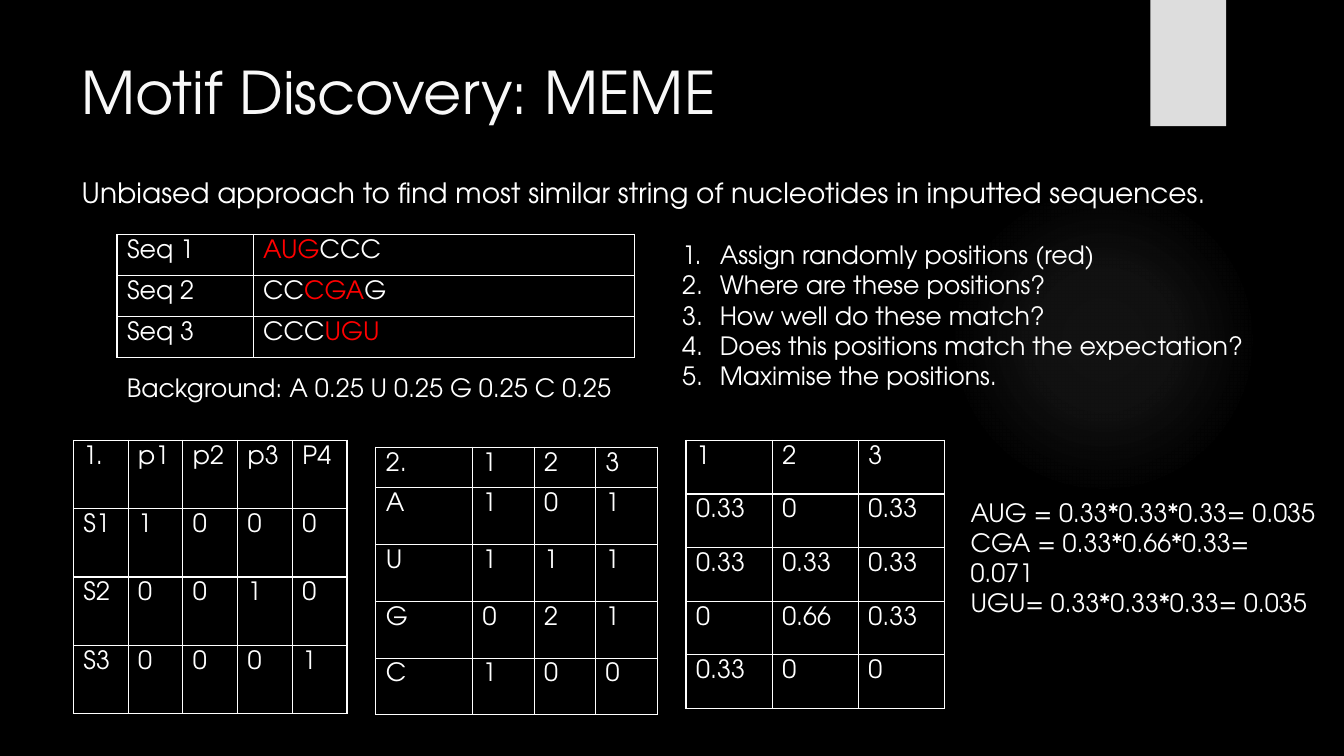
import lxml.etree
import pptx
import pptx.dml.color
import pptx.enum.shapes
import pptx.enum.text
import pptx.oxml
import pptx.oxml.ns
import pptx.util

Cm = pptx.util.Cm
RGBColor = pptx.dml.color.RGBColor
SHAPES = pptx.enum.shapes.MSO_SHAPE
qn = pptx.oxml.ns.qn

BLACK = RGBColor(0x00, 0x00, 0x00)
WHITE = RGBColor(0xFF, 0xFF, 0xFF)
TITLE_WHITE = RGBColor(0xF8, 0xF8, 0xF8)
TAB_GREY = RGBColor(0xDD, 0xDD, 0xDD)
GLOW_GREY = RGBColor(0xEB, 0xEB, 0xEB)
RED = RGBColor(0xFF, 0x00, 0x00)
FONT = "TeX Gyre Adventor"
DRAWING = "http://schemas.openxmlformats.org/drawingml/2006/main"


def write(para, text, size=18, color=WHITE):
    """Add text to a paragraph; parts between bars alternate with red."""
    for number, part in enumerate(text.split("|")):
        if part:
            span = para.add_run()
            span.text = part
            span.font.name = FONT
            span.font.size = pptx.util.Pt(size)
            span.font.color.rgb = RED if number % 2 else color


def add_grid(left, top, widths, heights, rows):
    """Add an unfilled table with thin white borders."""
    frame = slide.shapes.add_table(len(heights), len(widths), Cm(left), Cm(top),
                                   Cm(sum(widths)), Cm(sum(heights)))
    table = frame.table
    table.first_row = table.horz_banding = False
    for column, width in zip(table.columns, widths):
        column.width = Cm(width)
    for row, height, texts in zip(table.rows, heights, rows):
        row.height = Cm(height)
        for cell, text in zip(row.cells, texts):
            cell.margin_top = cell.margin_bottom = Cm(0.13)
            write(cell.text_frame.paragraphs[0], text)
            properties = cell._tc.get_or_add_tcPr()
            for side in ("lnL", "lnR", "lnT", "lnB"):
                properties.append(pptx.oxml.parse_xml(
                    f'<a:{side} xmlns:a="{DRAWING}" w="12700"><a:solidFill>'
                    f'<a:srgbClr val="{WHITE}"/></a:solidFill></a:{side}>'))
            cell.fill.background()


deck = pptx.Presentation()
deck.slide_width, deck.slide_height = Cm(33.87), Cm(19.05)
slide = deck.slides.add_slide(deck.slide_layouts[1])
slide.background.fill.solid()
slide.background.fill.fore_color.rgb = BLACK

# Soft glow and grey tab, behind the placeholders
glow = slide.shapes.add_shape(SHAPES.OVAL, Cm(23.9), Cm(4.65), Cm(7.82), Cm(7.82))
tab = slide.shapes.add_shape(SHAPES.RECTANGLE, Cm(28.99), 0, Cm(1.91), Cm(3.18))
for position, shape in enumerate((glow, tab)):
    shape.shadow.inherit = False
    shape.line.fill.background()
    slide.shapes._spTree.insert(2 + position, shape._element)
tab.fill.solid()
tab.fill.fore_color.rgb = TAB_GREY
stops = "".join(
    f'<a:gs pos="{place}000"><a:srgbClr val="{GLOW_GREY}"><a:alpha val="{alpha}000"/>'
    f'</a:srgbClr></a:gs>' for place, alpha in ((0, 7), (36, 6), (69, 0), (100, 0)))
glow._element.spPr.find(qn("a:prstGeom")).addnext(pptx.oxml.parse_xml(
    f'<a:gradFill xmlns:a="{DRAWING}"><a:gsLst>{stops}</a:gsLst><a:path path="circle">'
    '<a:fillToRect l="50000" t="50000" r="50000" b="50000"/></a:path></a:gradFill>'))

# Title and lead sentence
title, body = slide.placeholders
for box, place, text, size, color in (
        (title, (1.8, 1.27, 26.14, 3.89), "Motif Discovery: MEME", 42, TITLE_WHITE),
        (body, (1.8, 4.29, 29.26, 11.66),
         "Unbiased approach to find most similar string of nucleotides "
         "in inputted sequences.", 20, WHITE)):
    box.left, box.top, box.width, box.height = map(Cm, place)
    box.text_frame.auto_size = pptx.enum.text.MSO_AUTO_SIZE.NONE
    box.text_frame.vertical_anchor = pptx.enum.text.MSO_ANCHOR.TOP
    para = box.text_frame.paragraphs[0]
    para.alignment = pptx.enum.text.PP_ALIGN.LEFT
    write(para, text, size=size, color=color)
para.space_before = pptx.util.Pt(10)
properties = para._p.get_or_add_pPr()
properties.set("marL", "0")
properties.set("indent", "0")
lxml.etree.SubElement(properties, qn("a:buNone"))

# Steps, background frequencies and scores
for place, numbered, lines in (
        ((16.94, 5.91, 14.83, 4.88), True,
         ("Assign randomly positions (red)", "Where are these positions?",
          "How well do these match?", "Does this positions match the expectation?",
          "Maximise the positions.")),
        ((2.95, 9.26, 13.03, 1.02), False,
         ("Background: A 0.25 U 0.25 G 0.25 C 0.25",)),
        ((24.21, 12.4, 9.27, 2.57), False,
         ("AUG = 0.33*0.33*0.33= 0.035", "CGA = 0.33*0.66*0.33= 0.071",
          "UGU= 0.33*0.33*0.33= 0.035"))):
    frame = slide.shapes.add_textbox(*map(Cm, place)).text_frame
    frame.word_wrap = True
    for number, line in enumerate(lines):
        para = frame.add_paragraph() if number else frame.paragraphs[0]
        write(para, line)
        if numbered:
            properties = para._p.get_or_add_pPr()
            properties.set("marL", str(Cm(0.95)))
            properties.set("indent", str(-Cm(0.95)))
            font = lxml.etree.SubElement(properties, qn("a:buFont"))
            font.set("typeface", FONT)
            bullet = lxml.etree.SubElement(properties, qn("a:buAutoNum"))
            bullet.set("type", "arabicPeriod")

# Sequences with the chosen positions in red
add_grid(2.95, 5.91, [3.43, 9.6], [1.03] * 3,
         [("Seq 1", "|AUG|CCC"), ("Seq 2", "CC|CGA|G"), ("Seq 3", "CCC|UGU")])

# Start positions, counts and frequencies
add_grid(1.85, 11.1, [1.38] * 5, [1.72] * 4,
         [("1.", "p1", "p2", "p3", "P4"), ("S1", "1", "0", "0", "0"),
          ("S2", "0", "0", "1", "0"), ("S3", "0", "0", "0", "1")])
add_grid(9.47, 11.27, [2.44] + [1.55] * 3, [1.02] + [1.43] * 4,
         [("2.", "1", "2", "3"), ("A", "1", "0", "1"), ("U", "1", "1", "1"),
          ("G", "0", "2", "1"), ("C", "1", "0", "0")])
add_grid(17.29, 11.1, [2.17] * 3, [1.35] * 5,
         [("1", "2", "3"), ("0.33", "0", "0.33"), ("0.33", "0.33", "0.33"),
          ("0", "0.66", "0.33"), ("0.33", "0", "0")])

deck.save("out.pptx")
